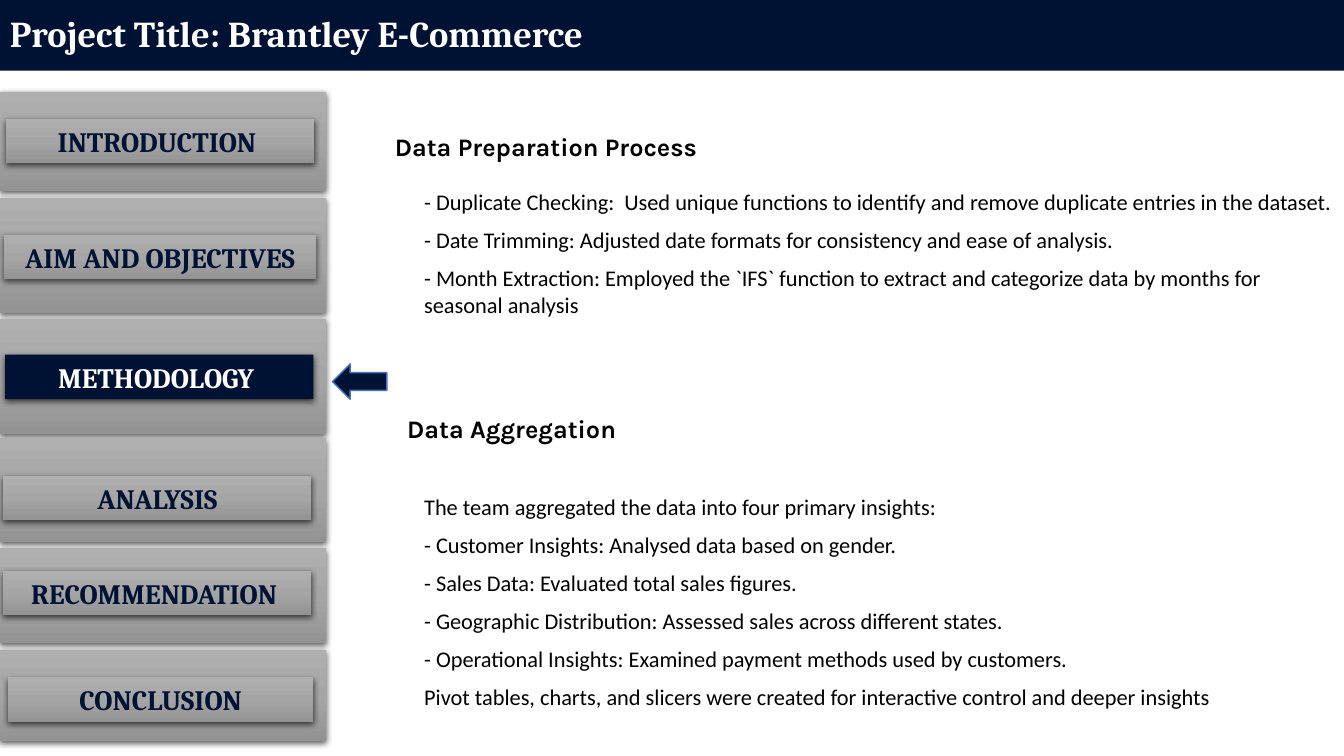
from pptx import Presentation
from pptx.dml.color import RGBColor
from pptx.enum.shapes import MSO_SHAPE
from pptx.enum.text import MSO_ANCHOR, PP_ALIGN
from pptx.oxml import parse_xml
from pptx.oxml.ns import nsdecls, qn
from pptx.util import Cm, Pt

RECTANGLE = MSO_SHAPE.RECTANGLE
LEFT_ARROW = MSO_SHAPE.LEFT_ARROW
MIDDLE = MSO_ANCHOR.MIDDLE
LEFT = PP_ALIGN.LEFT
CENTER = PP_ALIGN.CENTER

SLIDE_WIDTH, SLIDE_HEIGHT = 33.87, 19.05
PANEL_WIDTH = 8.23
LABEL_HEIGHT = 1.12
ACTIVE_SECTION = "METHODOLOGY "

SECTIONS = [
    ("INTRODUCTION ", (2.31, 2.51), (0.15, 3.0, 7.77)),
    ("AIM AND OBJECTIVES", (4.98, 2.9), (0.1, 5.92, 7.87)),
    (ACTIVE_SECTION, (8.03, 2.9), (0.13, 8.94, 7.77)),
    ("ANALYSIS", (11.05, 2.62), (0.08, 11.99, 7.77)),
    ("RECOMMENDATION ", (13.82, 2.39), (0.08, 14.38, 7.77)),
    ("CONCLUSION", (16.38, 2.29), (0.2, 17.07, 7.7)),
]

PREPARATION_STEPS = [
    "- Duplicate Checking:  Used unique functions to identify and remove duplicate entries in the dataset.",
    "- Date Trimming: Adjusted date formats for consistency and ease of analysis.",
    "- Month Extraction: Employed the `IFS` function to extract and categorize data by months for seasonal analysis",
]

AGGREGATION_INSIGHTS = [
    "The team aggregated the data into four primary insights:",
    "- Customer Insights: Analysed data based on gender.",
    "- Sales Data: Evaluated total sales figures.",
    "- Geographic Distribution: Assessed sales across different states.",
    "- Operational Insights: Examined payment methods used by customers.",
    "Pivot tables, charts, and slicers were created for interactive control and deeper insights",
]


def color(value):
    return RGBColor.from_string(value)


class SlideBuilder:
    NAVY = "001233"
    WHITE = "FFFFFF"
    BLACK = "000000"
    ARROW_LINE = "4472C4"
    GRADIENT = [(0, "AFAFAF"), (50, "A5A5A5"), (100, "939393")]
    DISPLAY_FONT = "Cambria"
    HEADING_FONT = "Karla"
    BODY_FONT = "Calibri"

    def __init__(self, slide):
        self.slide = slide

    def shape(self, kind, left, top, width, height, fill=None, line=None):
        shape = self.slide.shapes.add_shape(kind, Cm(left), Cm(top), Cm(width), Cm(height))
        shape.shadow.inherit = False
        if fill:
            shape.fill.solid()
            shape.fill.fore_color.rgb = color(fill)
        else:
            self.add_gradient(shape)
        if line:
            shape.line.color.rgb = color(line)
            shape.line.width = Pt(1)
        else:
            shape.line.fill.background()
        return shape

    def add_gradient(self, shape):
        stops = "".join(
            f'<a:gs pos="{position * 1000}"><a:srgbClr val="{value}"/></a:gs>'
            for position, value in self.GRADIENT
        )
        gradient = parse_xml(
            f'<a:gradFill {nsdecls("a")} rotWithShape="1"><a:gsLst>{stops}</a:gsLst>'
            '<a:lin ang="5400000" scaled="0"/></a:gradFill>'
        )
        shape.element.spPr.find(qn("a:prstGeom")).addnext(gradient)

    def add_shadow(self, shape):
        shadow = parse_xml(
            f'<a:outerShdw {nsdecls("a")} blurRad="57150" dist="19050" dir="5400000" '
            'algn="ctr" rotWithShape="0"><a:srgbClr val="000000">'
            '<a:alpha val="63000"/></a:srgbClr></a:outerShdw>'
        )
        shape.element.spPr.find(qn("a:effectLst")).append(shadow)

    def set_text(self, paragraph, text, font, size, fill, bold=False, align=LEFT):
        paragraph.text = text
        paragraph.alignment = align
        paragraph.font.name = font
        paragraph.font.size = Pt(size)
        paragraph.font.bold = bold
        paragraph.font.color.rgb = color(fill)

    def text_frame(self, left, top, width, height):
        box = self.slide.shapes.add_textbox(Cm(left), Cm(top), Cm(width), Cm(height))
        box.text_frame.word_wrap = True
        return box.text_frame

    def title(self, text):
        banner = self.shape(RECTANGLE, 0, 0, SLIDE_WIDTH, 1.78, self.NAVY)
        banner.text_frame.vertical_anchor = MIDDLE
        paragraph = banner.text_frame.paragraphs[0]
        self.set_text(paragraph, text, self.DISPLAY_FONT, 26, self.WHITE, True)
        paragraph.line_spacing = 0.9

    def panel(self, top, height):
        self.add_shadow(self.shape(RECTANGLE, 0, top, PANEL_WIDTH, height))

    def label(self, text, left, top, width, active):
        fill = self.NAVY if active else None
        text_color = self.WHITE if active else self.NAVY
        label = self.shape(RECTANGLE, left, top, width, LABEL_HEIGHT, fill)
        self.add_shadow(label)
        label.text_frame.word_wrap = True
        label.text_frame.vertical_anchor = MIDDLE
        paragraph = label.text_frame.paragraphs[0]
        self.set_text(paragraph, text, self.DISPLAY_FONT, 20, text_color, True, CENTER)

    def arrow(self, left, top, width, height):
        self.shape(LEFT_ARROW, left, top, width, height, self.NAVY, self.ARROW_LINE)

    def heading(self, text, left, top):
        paragraph = self.text_frame(left, top, 17.96, 1.55).paragraphs[0]
        self.set_text(paragraph, text, self.HEADING_FONT, 18, self.BLACK, True)
        paragraph.line_spacing = 2.0
        paragraph.space_after = Pt(8)
        properties = paragraph._p.get_or_add_pPr()
        properties.set("marL", str(Cm(6.35)))
        properties.set("indent", str(Cm(1.27)))

    def body(self, lines, top, height):
        frame = self.text_frame(10.44, top, 23.42, height)
        for index, line in enumerate(lines):
            paragraph = frame.add_paragraph() if index else frame.paragraphs[0]
            self.set_text(paragraph, line, self.BODY_FONT, 16, self.BLACK)
            paragraph.space_after = Pt(8)


def main():
    presentation = Presentation()
    presentation.slide_width = Cm(SLIDE_WIDTH)
    presentation.slide_height = Cm(SLIDE_HEIGHT)
    builder = SlideBuilder(presentation.slides.add_slide(presentation.slide_layouts[6]))

    builder.title("Project Title: Brantley E-Commerce")
    builder.heading("Data Preparation Process", 2.08, 2.41)
    builder.body(PREPARATION_STEPS, 4.62, 4.24)
    builder.heading("Data Aggregation", 2.39, 9.53)
    builder.body(AGGREGATION_INSIGHTS, 12.29, 5.79)
    builder.arrow(8.38, 9.17, 1.37, 0.89)

    for text, panel, label in SECTIONS:
        builder.panel(*panel)
        builder.label(text, *label, text == ACTIVE_SECTION)

    presentation.save("out.pptx")


if __name__ == "__main__":
    main()
